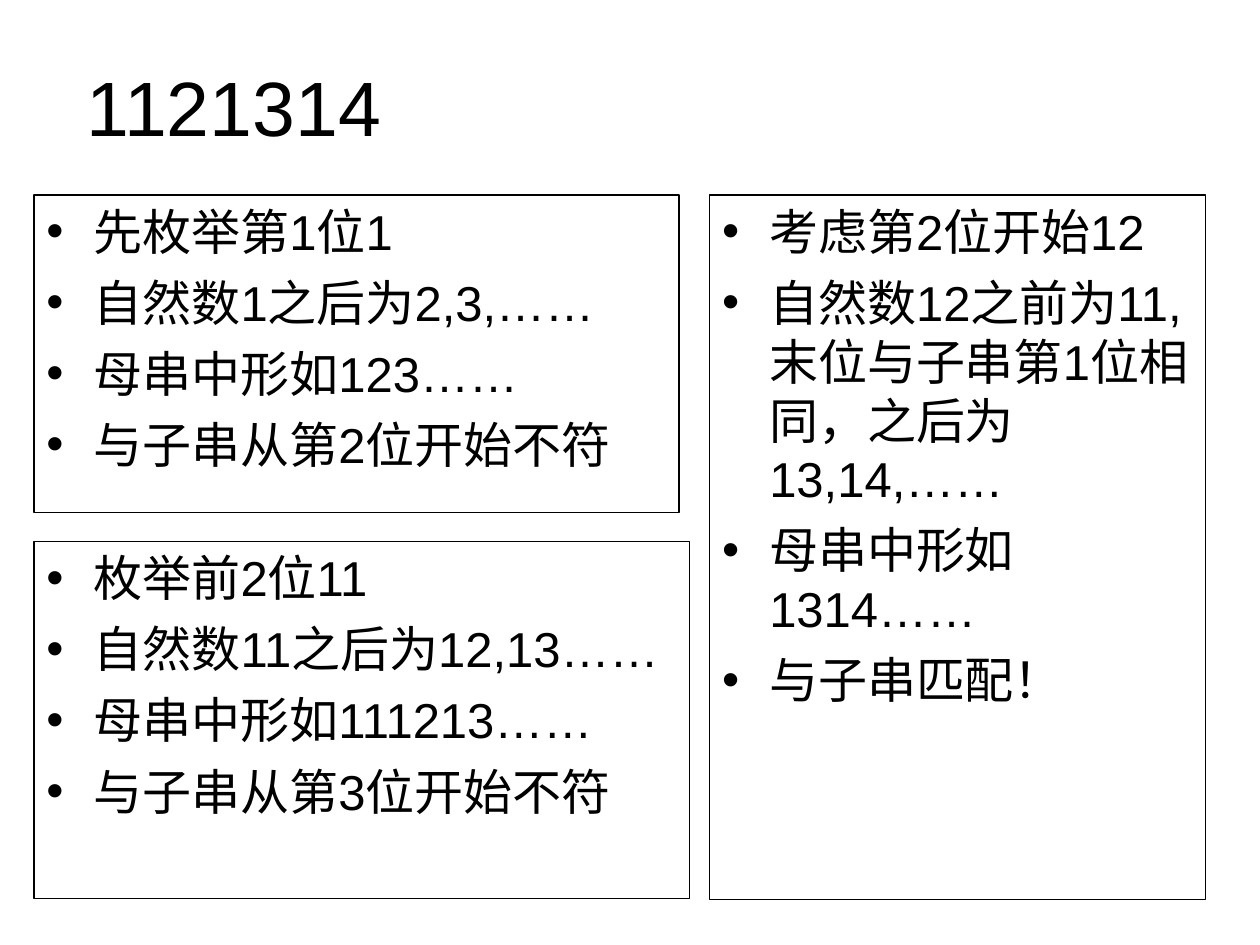
from lxml import etree
from pptx import Presentation
from pptx.dml.color import RGBColor
from pptx.enum import shapes, text
from pptx.oxml.ns import qn
from pptx.util import Pt

INK = "000000"
FRAME = dict(word_wrap=True, auto_size=text.MSO_AUTO_SIZE.NONE,
             margin_left=Pt(7.2), margin_right=Pt(7.2),
             margin_top=Pt(3.6), margin_bottom=Pt(3.6))
TOP = dict(FRAME, vertical_anchor=text.MSO_ANCHOR.TOP)
MID = dict(FRAME, vertical_anchor=text.MSO_ANCHOR.MIDDLE)

PANELS = [
    ((19.5, 111.5, 368.5, 181.5),
     ["先枚举第1位1", "自然数1之后为2,3,……", "母串中形如123……", "与子串从第2位开始不符"]),
    ((19.5, 309.5, 374.5, 204),
     ["枚举前2位11", "自然数11之后为12,13……", "母串中形如111213……", "与子串从第3位开始不符"]),
    ((405.5, 111.5, 283.5, 402.5),
     ["考虑第2位开始12", "自然数12之前为11,末位与子串第1位相同，之后为13,14,……",
      "母串中形如1314……", "与子串匹配！"]),
]


def paint(item, hue):
    item.rgb = RGBColor.from_string(hue)


def apply(item, vals):
    for key, val in vals.items():
        setattr(item, key, val)


def style(para, size):
    para.alignment = text.PP_ALIGN.LEFT
    apply(para.font, dict(name="Arial", size=Pt(size)))
    paint(para.font.color, INK)


def bullet(para):
    props = para._p.get_or_add_pPr()
    props.set("marL", str(Pt(27)))
    props.set("indent", str(-Pt(27)))
    etree.SubElement(props, qn("a:buFont")).set("typeface", "Arial")
    etree.SubElement(props, qn("a:buChar")).set("char", "•")


def title(slide, box, words):
    head = slide.shapes.title
    apply(head, dict(zip(("left", "top", "width", "height"), map(Pt, box))))
    frame = head.text_frame
    apply(frame, MID)
    frame.text = words
    style(frame.paragraphs[0], 44)


def panel(slide, box, lines):
    rect = slide.shapes.add_shape(shapes.MSO_SHAPE.RECTANGLE, *map(Pt, box))
    rect.shadow.inherit = False
    rect.fill.background()
    rect.line.width = Pt(0.75)
    paint(rect.line.color, INK)
    frame = rect.text_frame
    apply(frame, TOP)
    frame.text = "\n".join(lines)
    for num, para in enumerate(frame.paragraphs):
        bullet(para)
        style(para, 28)
        para.space_before = Pt(7 if num else 0)


def main():
    deck = Presentation()
    apply(deck, dict(slide_width=Pt(720), slide_height=Pt(540)))
    slide = deck.slides.add_slide(deck.slide_layouts[5])
    title(slide, (42.5, 26, 612, 69), "1121314")
    for box, lines in PANELS:
        panel(slide, box, lines)
    deck.save("out.pptx")


if __name__ == "__main__":
    main()
